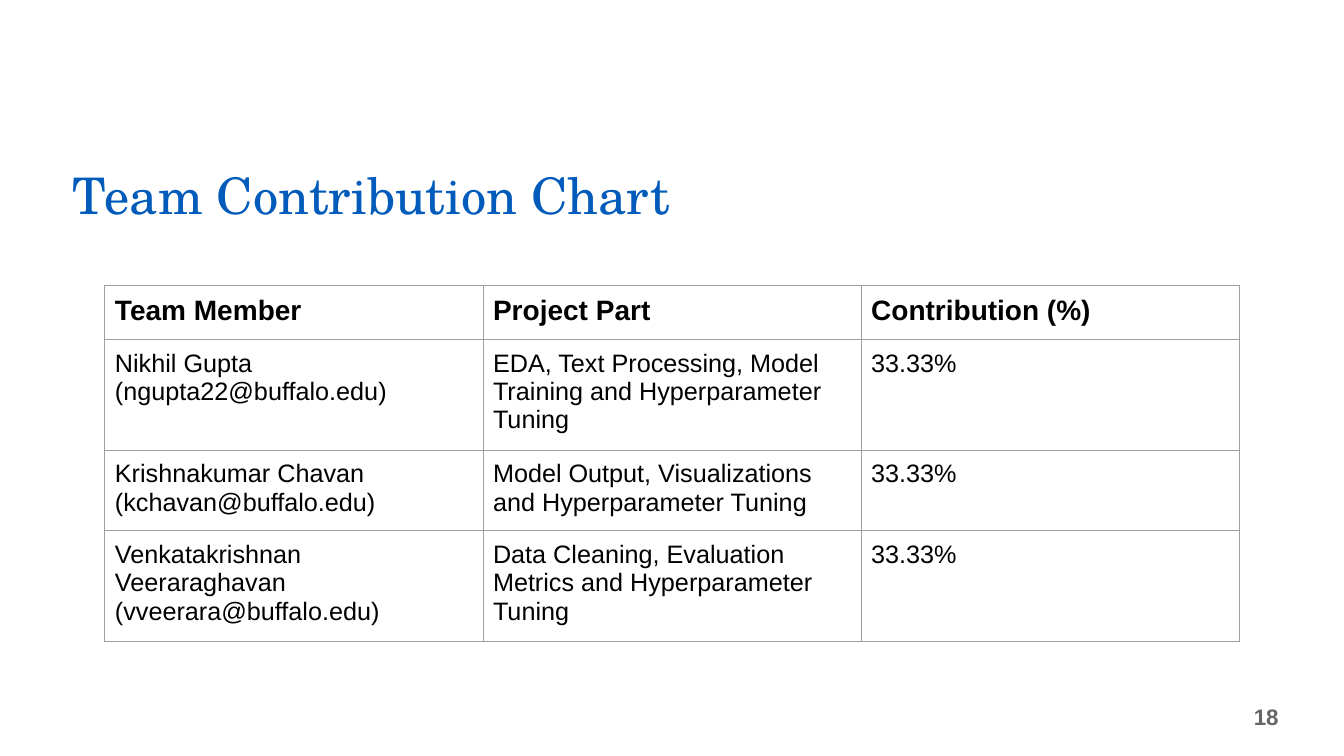
from lxml.etree import SubElement
from pptx import Presentation
from pptx.dml.color import RGBColor
from pptx.enum.text import MSO_ANCHOR, PP_ALIGN
from pptx.oxml.ns import qn
from pptx.util import Inches, Pt

TITLE = "Team Contribution Chart"
PAGE_NUMBER = "18"
HEADER = ("Team Member", "Project Part", "Contribution (%)")
# Each line of a cell is a paragraph of its own.
MEMBERS = [
    ("Nikhil Gupta\n(ngupta22@buffalo.edu)",
     "EDA, Text Processing, Model Training and Hyperparameter Tuning", "33.33%"),
    ("Krishnakumar Chavan (kchavan@buffalo.edu)",
     "Model Output, Visualizations and Hyperparameter Tuning", "33.33%"),
    ("Venkatakrishnan Veeraraghavan (vveerara@buffalo.edu)",
     "Data Cleaning, Evaluation Metrics and Hyperparameter Tuning", "33.33%"),
]
COLORS = {"title": "005BBB", "text": "000000", "number": "666666", "border": "9E9E9E"}
TITLE_FONT, BODY_FONT = "TeX Gyre Schola", "Arial"
COLUMN_WIDTH = 3.75
ROW_HEIGHTS = (0.53, 1.1, 0.8, 1.1)
CELL_MARGIN = Inches(0.1)


def write(para, text, font, size, color, bold=False):
    span = para.add_run()
    span.text = text
    span.font.name = font
    span.font.size = Pt(size)
    span.font.bold = bold
    span.font.color.rgb = RGBColor.from_string(COLORS[color])


def add_line_box(page, left, top, width, height, anchor):
    """Add a wrapping text box and return its first paragraph."""
    box = page.shapes.add_textbox(*map(Inches, (left, top, width, height)))
    box.text_frame.word_wrap = True
    box.text_frame.vertical_anchor = anchor
    return box.text_frame.paragraphs[0]


def draw_borders(cell):
    properties = cell._tc.get_or_add_tcPr()
    for position, side in enumerate(("lnL", "lnR", "lnT", "lnB")):
        line = properties.makeelement(qn(f"a:{side}"), {"w": str(Pt(0.75))})
        fill = SubElement(line, qn("a:solidFill"))
        SubElement(fill, qn("a:srgbClr"), val=COLORS["border"])
        properties.insert(position, line)


def fill_cell(cell, text, size, bold):
    cell.fill.background()
    cell.margin_left = cell.margin_right = CELL_MARGIN
    cell.margin_top = cell.margin_bottom = CELL_MARGIN
    frame = cell.text_frame
    for index, line in enumerate(text.split("\n")):
        para = frame.add_paragraph() if index else frame.paragraphs[0]
        write(para, line, BODY_FONT, size, "text", bold)
    draw_borders(cell)


def add_contributions(page):
    rows = [HEADER, *MEMBERS]
    table = page.shapes.add_table(
        len(rows), len(HEADER), Inches(1.04), Inches(2.83),
        Inches(COLUMN_WIDTH * len(HEADER)), Inches(sum(ROW_HEIGHTS))).table
    table.first_row = table.horz_banding = False
    for column in table.columns:
        column.width = Inches(COLUMN_WIDTH)
    for r, (texts, height) in enumerate(zip(rows, ROW_HEIGHTS)):
        table.rows[r].height = Inches(height)
        for c, text in enumerate(texts):
            fill_cell(table.cell(r, c), text, 18 if r else 20, r == 0)


def main():
    deck = Presentation()
    deck.slide_width, deck.slide_height = Inches(13.33), Inches(7.5)
    page = deck.slides.add_slide(deck.slide_layouts[6])

    title = add_line_box(page, 0.62, 1.64, 7.6, 0.65, MSO_ANCHOR.BOTTOM)
    title.line_spacing = 0.9
    write(title, TITLE, TITLE_FONT, 36, "title")

    number = add_line_box(page, 8.28, 6.91, 4.5, 0.4, MSO_ANCHOR.MIDDLE)
    number.alignment = PP_ALIGN.RIGHT
    write(number, PAGE_NUMBER, BODY_FONT, 16, "number", bold=True)

    add_contributions(page)
    deck.save("out.pptx")


if __name__ == "__main__":
    main()
